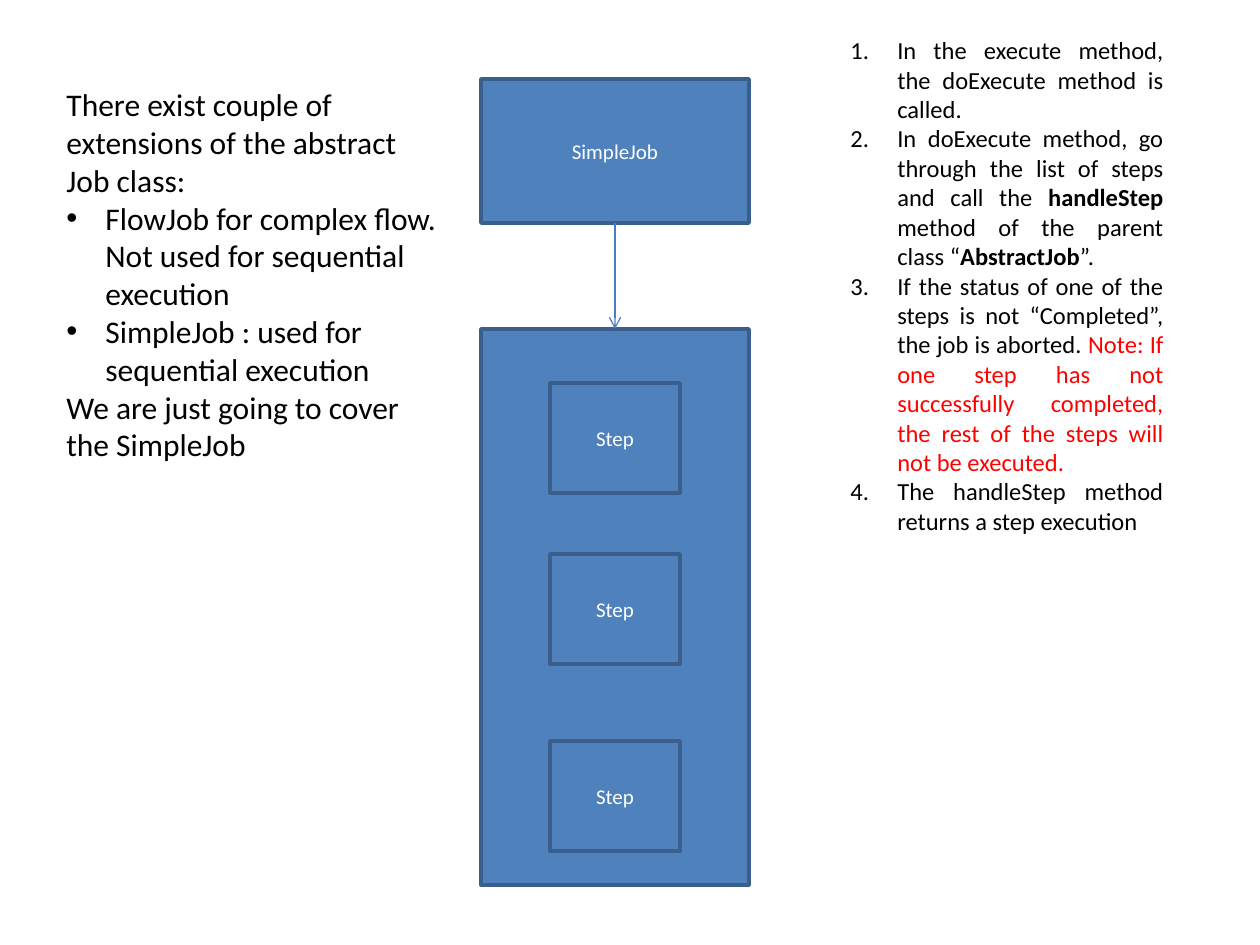
"""Build the SimpleJob slide: extension notes, job-to-steps diagram and execution rules."""
from lxml.etree import SubElement
from pptx import Presentation
from pptx.dml.color import RGBColor as RGB
from pptx.enum.shapes import MSO_CONNECTOR as CONN, MSO_SHAPE as SHAPE
from pptx.enum.text import MSO_ANCHOR as ANCHOR, PP_ALIGN as ALIGN
from pptx.oxml.ns import qn
from pptx.util import Pt

PX = 914400 / 126
THEME = {
    "font": "Calibri",
    "fill": RGB.from_string("4F81BD"),
    "line": RGB.from_string("3A5F8C"),
    "arrow": RGB.from_string("4B7EBC"),
    "text": RGB.from_string("000000"),
    "alert": RGB.from_string("FF0000"),
    "label": RGB.from_string("FFFFFF"),
    "notes_size": Pt(18),
    "rules_size": Pt(14),
    "label_size": Pt(12),
}


def px(*values):
    return [round(v * PX) for v in values]


def add_run(p, text, size, color, bold=False):
    r = p.add_run()
    r.text = text
    for name, value in {"name": THEME["font"], "size": size, "bold": bold}.items():
        setattr(r.font, name, value)
    r.font.color.rgb = color


prs = Presentation()
prs.slide_width, prs.slide_height = px(1260, 945)
s = prs.slides.add_slide(prs.slide_layouts[6])

NOTES = [
    (None, [("There exist couple of extensions of the abstract Job class:", "")]),
    ("bullet", [("FlowJob for complex flow. Not used for sequential execution", "")]),
    ("bullet", [("SimpleJob : used for sequential execution", "")]),
    (None, [("We are just going to cover the SimpleJob", "")]),
]
RULES = [
    ("number", [("In the execute method, the doExecute method is called.", "")]),
    ("number", [
        ("In doExecute method, go through the list of steps and call the ", ""),
        ("handleStep", "bold"),
        (" method of the parent class “", ""),
        ("AbstractJob", "bold"),
        ("”. ", ""),
    ]),
    ("number", [
        ("If the status of one of the steps is not “Completed”, the job is aborted. ", ""),
        ("Note: If one step has not successfully  completed, the rest of the steps will not be executed.", "alert"),
    ]),
    ("number", [("The handleStep method returns a step execution ", "")]),
]
MARKERS = {
    "bullet": ("a:buChar", {"char": "•"}),
    "number": ("a:buAutoNum", {"type": "arabicPeriod"}),
}

for box, size, align, indent, paragraphs in [
    ((54, 79, 397, 394), THEME["notes_size"], ALIGN.LEFT, 39, NOTES),
    ((838, 29, 338, 518), THEME["rules_size"], ALIGN.JUSTIFY, 47, RULES),
]:
    tf = s.shapes.add_textbox(*px(*box)).text_frame
    tf.word_wrap = True
    for i, (marker, runs) in enumerate(paragraphs):
        p = tf.add_paragraph() if i else tf.paragraphs[0]
        p.alignment = align
        if marker:
            pPr = p._p.get_or_add_pPr()
            (hang,) = px(indent)
            pPr.set("marL", str(hang))
            pPr.set("indent", str(-hang))
            tag, attrs = MARKERS[marker]
            if marker == "bullet":
                SubElement(pPr, qn("a:buFont"), typeface="Arial")
            SubElement(pPr, qn(tag), attrs)
        for text, style in runs:
            color = THEME["alert" if style == "alert" else "text"]
            add_run(p, text, size, color, style == "bold")

boxes = []
for box, label in [
    ((481, 79, 268, 144), "SimpleJob"),
    ((481, 329, 268, 556), ""),
    *[((550, y, 130, 110), "Step") for y in (383, 554, 741)],
]:
    sp = s.shapes.add_shape(SHAPE.RECTANGLE, *px(*box))
    sp.shadow.inherit = False
    sp.fill.solid()
    sp.fill.fore_color.rgb = THEME["fill"]
    sp.line.color.rgb = THEME["line"]
    sp.line.width = Pt(2)
    if label:
        tf = sp.text_frame
        tf.vertical_anchor = ANCHOR.MIDDLE
        p = tf.paragraphs[0]
        p.alignment = ALIGN.CENTER
        add_run(p, label, THEME["label_size"], THEME["label"])
    boxes.append(sp)

job, steps = boxes[:2]
arrow = s.shapes.add_connector(CONN.STRAIGHT, *px(615, 223, 615, 329))
arrow.begin_connect(job, 2)
arrow.end_connect(steps, 0)
arrow.line.color.rgb = THEME["arrow"]
arrow.line.width = Pt(0.75)
SubElement(arrow.line._get_or_add_ln(), qn("a:tailEnd"), type="arrow")
SubElement(arrow._element.spPr, qn("a:effectLst"))

prs.save("out.pptx")
